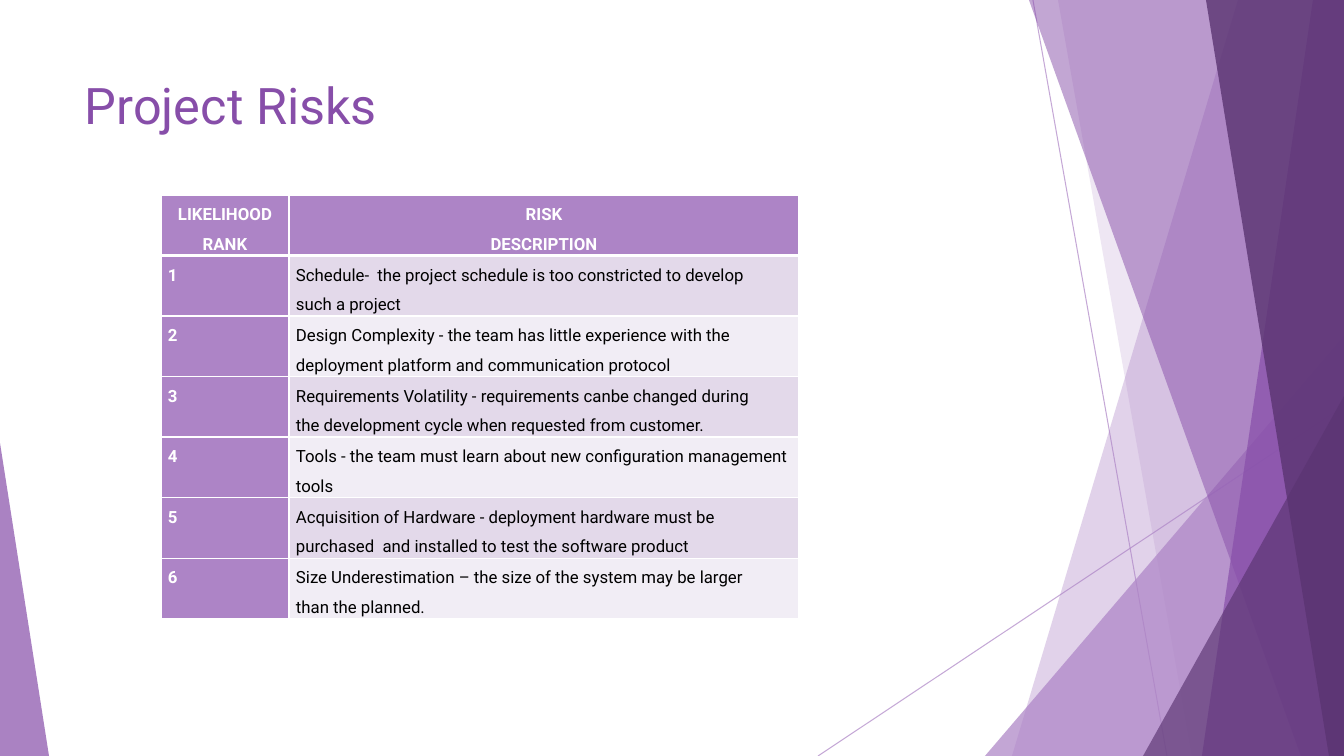
from pptx import Presentation
from pptx.dml.color import RGBColor
from pptx.enum.shapes import MSO_CONNECTOR as Connector, MSO_SHAPE as Preset
from pptx.enum.text import MSO_ANCHOR as Anchor, PP_ALIGN as Align
from pptx.oxml import parse_xml
from pptx.oxml.ns import nsdecls, qn
from pptx.oxml.xmlchemy import OxmlElement
from pptx.util import Pt

WIDTH, HEIGHT = 1344, 756
EMU_PER_PX = 12192000 / WIDTH
THEME = {
    "font": "Roboto",
    "title_size": 36,
    "table_size": 12,
    "lilac": "AD84C6",
    "purple": "874EA9",
    "plum": "5A3471",
    "white": "FFFFFF",
    "black": "000000",
    "odd_row": "E3D9EA",
    "even_row": "F1EDF5",
}


def px(*lengths):
    return [round(length * EMU_PER_PX) for length in lengths]


def set_opacity(shape, percent):
    """Make every explicit colour of the shape partly transparent."""
    for colour in shape._element.iter(qn("a:srgbClr")):
        alpha = OxmlElement("a:alpha")
        alpha.set("val", str(percent * 1000))
        colour.append(alpha)


deck = Presentation()
deck.slide_width, deck.slide_height = px(WIDTH, HEIGHT)
page = deck.slides.add_slide(deck.slide_layouts[6])
shapes = page.shapes

# Thin crossing lines
for ends in [(1033, 0, 1167, HEIGHT), (WIDTH, 406, 818, HEIGHT)]:
    line = shapes.add_connector(Connector.STRAIGHT, *px(*ends))
    line.line.color.rgb = RGBColor.from_string(THEME["lilac"])
    line.line.width = Pt(0.75)
    line._element.spPr.append(OxmlElement("a:effectLst"))
    set_opacity(line, 70)

# Bands: top x, bottom x, reaching the right edge.
# Triangles: left, top, right, apex position, reaching the bottom edge.
facets = [
    ("band", (1238, 1012), "lilac", 36),
    ("band", (1058, 1192), "lilac", 20),
    ("triangle", (985, 336, WIDTH, 1), "lilac", 72),
    ("band", (1029, 1301), "purple", 50),
    ("band", (1313, 1202), "purple", 70),
    ("band", (1206, 1329), "plum", 80),
    ("triangle", (1143, 396, WIDTH, 1), "plum", 66),
    ("triangle", (0, 443, 49, 0), "purple", 70),
]
for kind, geometry, colour, opacity in facets:
    if kind == "band":
        top_x, bottom_x = geometry
        outline = shapes.build_freeform(top_x, 0, scale=EMU_PER_PX)
        outline.add_line_segments([(WIDTH, 0), (WIDTH, HEIGHT), (bottom_x, HEIGHT)])
        facet = outline.convert_to_shape()
    else:
        left, top, right, apex = geometry
        facet = shapes.add_shape(
            Preset.ISOSCELES_TRIANGLE, *px(left, top, right - left, HEIGHT - top))
        facet.adjustments[0] = apex
    facet.shadow.inherit = False
    facet.fill.solid()
    facet.fill.fore_color.rgb = RGBColor.from_string(THEME[colour])
    facet.line.fill.background()
    set_opacity(facet, opacity)

# Title
box = shapes.add_textbox(*px(75, 68, 948, 72))
box.text_frame.word_wrap = True
box.text_frame.vertical_anchor = Anchor.MIDDLE
span = box.text_frame.paragraphs[0].add_run()
span.text = "Project Risks"
span.font.name = THEME["font"]
span.font.size = Pt(THEME["title_size"])
span.font.color.rgb = RGBColor.from_string(THEME["purple"])

# Risk table: each cell is a list of paragraphs
risks = [
    ["Schedule-  the project schedule is too constricted to develop", "such a project"],
    ["Design Complexity - the team has little experience with the "
     "deployment platform and communication protocol"],
    ["Requirements Volatility - requirements canbe changed during",
     "the development cycle when requested from customer."],
    ["Tools - the team must learn about new configuration management tools"],
    ["Acquisition of Hardware - deployment hardware must be "
     "purchased  and installed to test the software product"],
    ["Size Underestimation – the size of the system may be larger", "than the planned."],
]
rows = [(["LIKELIHOOD RANK"], ["RISK", "DESCRIPTION"])]
rows += [([str(rank)], risk) for rank, risk in enumerate(risks, 1)]

ROW_HEIGHT, COLUMN_WIDTHS = 59, (128, 510)
table = shapes.add_table(
    len(rows), 2, *px(161, 195, sum(COLUMN_WIDTHS), ROW_HEIGHT * len(rows))).table
for column, width in zip(table.columns, px(*COLUMN_WIDTHS)):
    column.width = width

for row_index, row in enumerate(rows):
    table.rows[row_index].height = px(ROW_HEIGHT)[0]
    for column_index, lines in enumerate(row):
        cell = table.cell(row_index, column_index)
        is_label = row_index == 0 or column_index == 0
        band = "odd_row" if row_index % 2 else "even_row"
        cell.margin_left, cell.margin_right = px(7, 7)
        cell.margin_top = cell.margin_bottom = 0

        for side in "LRTB":
            under_header = (row_index, side) in [(0, "B"), (1, "T")]
            border_width = Pt(3 if under_header else 1)
            cell._tc.get_or_add_tcPr().append(parse_xml(
                f'<a:ln{side} {nsdecls("a")} w="{border_width}"><a:solidFill>'
                f'<a:srgbClr val="{THEME["white"]}"/></a:solidFill></a:ln{side}>'))
        cell.fill.solid()
        cell.fill.fore_color.rgb = RGBColor.from_string(
            THEME["lilac" if is_label else band])

        for line_index, text in enumerate(lines):
            frame = cell.text_frame
            para = frame.add_paragraph() if line_index else frame.paragraphs[0]
            para.alignment = Align.LEFT if row_index else Align.CENTER
            para.line_spacing = 1.5
            span = para.add_run()
            span.text = text
            span.font.name = THEME["font"]
            span.font.size = Pt(THEME["table_size"])
            span.font.bold = is_label
            span.font.color.rgb = RGBColor.from_string(
                THEME["white" if is_label else "black"])

deck.save("out.pptx")
